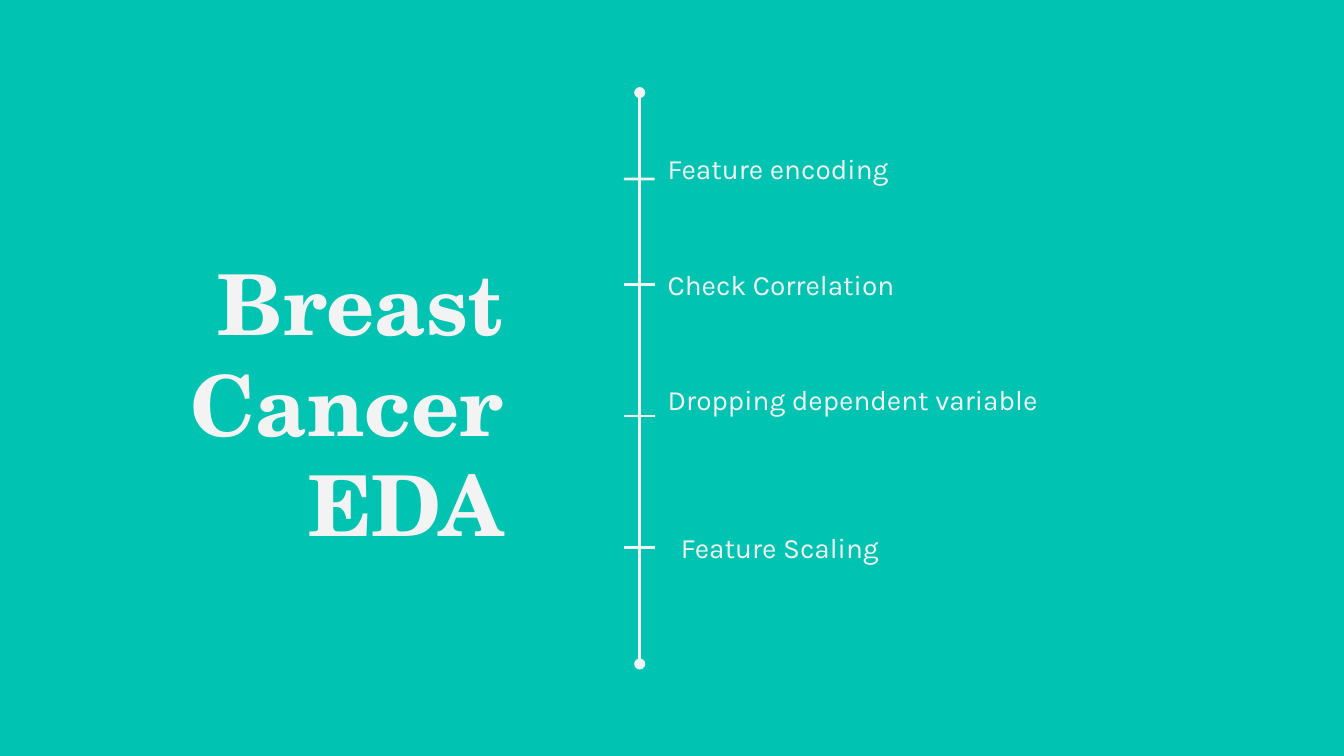
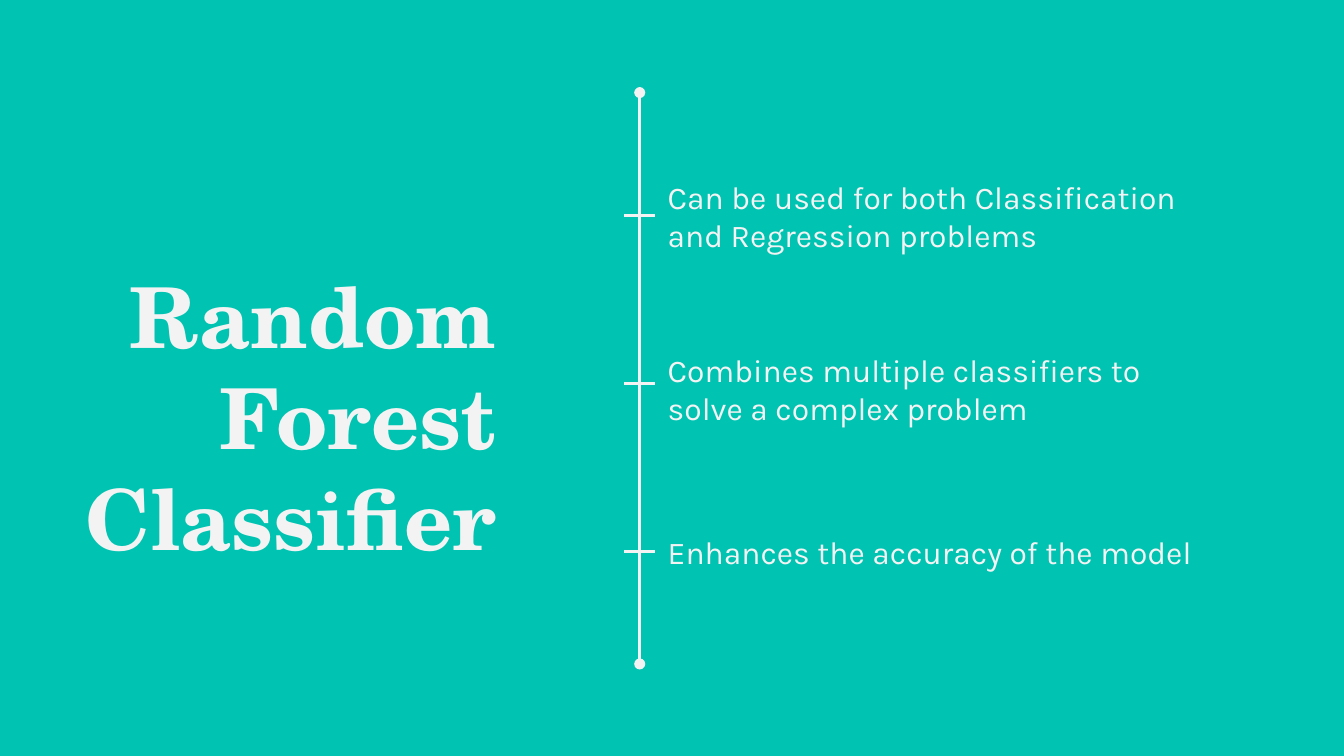
"""Build two teal slides, each with a title and a line of marked points."""
from pptx import Presentation
from pptx.dml.color import RGBColor
from pptx.enum.shapes import MSO_CONNECTOR as Link
from pptx.enum.text import MSO_ANCHOR as Anchor, MSO_AUTO_SIZE as Auto, PP_ALIGN as Align
from pptx.oxml.ns import qn
from pptx.util import Cm, Pt
from lxml.etree import SubElement

TEAL, PALE = "00C3B1", "F3F3F3"
AXIS, LEFT, EDGE = 12.09, 11.79, 12.37
HIGH, PAD = 1.75, 0.25
TOP, MID = Anchor.TOP, Anchor.MIDDLE


def style(shape, text, anchor, font, size, bold=False, align=Align.LEFT, pad=PAD):
    frame = shape.text_frame
    frame.text = text
    frame.word_wrap = True
    frame.auto_size = Auto.NONE
    frame.vertical_anchor = anchor
    frame.margin_left = frame.margin_right = frame.margin_bottom = Cm(PAD)
    frame.margin_top = Cm(pad)
    for para in frame.paragraphs:
        para.alignment = align
        for run in para.runs:
            run.font.name, run.font.size, run.font.bold = font, Pt(size), bold
            run.font.color.rgb = RGBColor.from_string(PALE)


def draw(slide, x1, y1, x2, y2):
    line = slide.shapes.add_connector(Link.STRAIGHT, Cm(x1), Cm(y1), Cm(x2), Cm(y2))
    line.line.color.rgb = RGBColor.from_string(PALE)
    line.line.width = Pt(1.5)
    SubElement(line._element.spPr, qn("a:effectLst"))
    return line


pages = [
    ("Breast Cancer EDA", (0.64, 4.5, 9.12, 6.35), 15, [
        ("Feature encoding", EDGE, 2.51, 10.8, MID, TOP, 0.36),
        ("Check Correlation", EDGE, 4.5, 11.3, MID, MID, PAD),
        ("Dropping dependent variable", EDGE, 6.99, 12.24, MID, TOP, PAD),
        ("Feature Scaling", 12.62, 9.47, 10.8, MID, MID, PAD),
    ]),
    ("Random Forest\nClassifier", (1.07, 4.75, 8.56, 4.62), 17, [
        ("Can be used for both Classification and Regression problems",
         EDGE, 3.2, 10.8, MID, MID, PAD),
        ("Combines multiple classifiers to solve a complex problem",
         EDGE, 6.38, 10.26, MID, TOP, PAD),
        ("Enhances the accuracy of the model", EDGE, 9.55, 10.8, MID, MID, PAD),
    ]),
]
pages = [(name, spot, size, [(text, x, y, wide, anchor, pad)
                             for text, x, y, wide, _, anchor, pad in points])
         for name, spot, size, points in pages]

prs = Presentation()
prs.slide_width, prs.slide_height = Cm(25.4), Cm(14.29)
back = prs.slide_master.background.fill
back.solid()
back.fore_color.rgb = RGBColor.from_string(TEAL)

for name, spot, size, points in pages:
    slide = prs.slides.add_slide(prs.slide_layouts[5])
    title = slide.shapes.title
    title.left, title.top, title.width, title.height = map(Cm, spot)
    style(title, name, TOP, "TeX Gyre Schola", 45, True, Align.RIGHT)

    axis = draw(slide, AXIS, 1.75, AXIS, 12.55)
    stroke = axis.line._get_or_add_ln()
    for end in ("a:headEnd", "a:tailEnd"):
        SubElement(stroke, qn(end), type="oval")

    for text, x, y, wide, anchor, pad in points:
        box = slide.shapes.add_textbox(Cm(x), Cm(y), Cm(wide), Cm(HIGH))
        style(box, text, anchor, "Karla", size, pad=pad)
        mark = y + HIGH / 2
        tick = draw(slide, LEFT, mark, EDGE, mark)
        if x == EDGE:
            tick.end_connect(box, 1)

prs.save("out.pptx")
